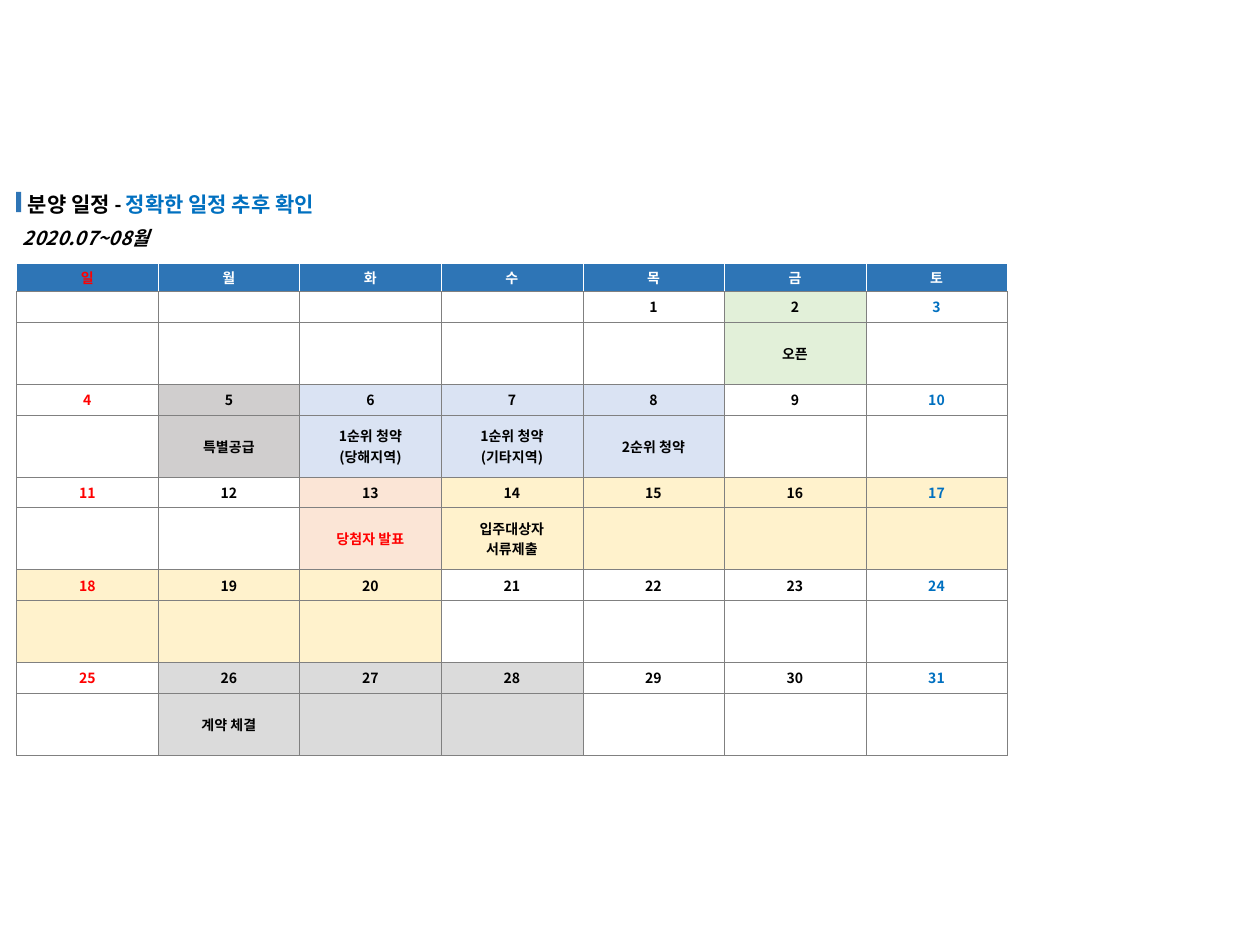
from lxml.etree import SubElement
from pptx import Presentation
from pptx.dml.color import RGBColor
from pptx.enum.shapes import MSO_SHAPE
from pptx.enum.text import MSO_ANCHOR, MSO_AUTO_SIZE, PP_ALIGN
from pptx.oxml.ns import qn
from pptx.util import Pt

COLORS = {
    "black": "000000", "white": "FFFFFF", "red": "FF0000", "blue": "0070C0",
    "header": "2E75B6", "border": "808080", "opening": "E2F0D9",
    "special": "D0CECE", "application": "DAE3F3", "winners": "FBE5D6",
    "documents": "FFF2CC", "contract": "DBDBDB",
}
FONT = "Noto Sans CJK KR"
TITLE = [("분양 일정 - ", "black"), ("정확한 일정 추후 확인", "blue")]
PERIOD = "2020.07~08월"
WEEKDAYS = ["일", "월", "화", "수", "목", "금", "토"]
EVENTS = [
    (2, 2, "opening", ["오픈"], "black"),
    (5, 5, "special", ["특별공급"], "black"),
    (6, 6, "application", ["1순위 청약", "(당해지역)"], "black"),
    (7, 7, "application", ["1순위 청약", "(기타지역)"], "black"),
    (8, 8, "application", ["2순위 청약"], "black"),
    (13, 13, "winners", ["당첨자 발표"], "red"),
    (14, 20, "documents", ["입주대상자", "서류제출"], "black"),
    (26, 28, "contract", ["계약 체결"], "black"),
]
WEEKS, FIRST_COLUMN, LAST_DAY = 5, 4, 31
LEFT, TOP, COLUMN_WIDTH = 9.5, 120, 80.9
ROW_HEIGHTS = [30.5, 16] + [17.7, 35.3] * WEEKS


def rgb(name):
    return RGBColor.from_string(COLORS[name])


def apply_format(target, values):
    for name, value in values.items():
        setattr(target, name, value)


def add_text(paragraph, text, color, size, font=FONT, italic=False):
    run = paragraph.add_run()
    run.text = text
    apply_format(run.font, {"name": font, "size": Pt(size), "bold": True, "italic": italic})
    run.font.color.rgb = rgb(color)
    SubElement(run.font._element, qn("a:ea"), typeface=FONT)


def set_borders(cell, left, right, top, bottom):
    properties = cell._tc.get_or_add_tcPr()
    for side, color in zip("LRTB", (left, right, top, bottom)):
        line = SubElement(properties, qn(f"a:ln{side}"), w=str(Pt(0.25)))
        fill = SubElement(line, qn("a:solidFill"))
        SubElement(fill, qn("a:srgbClr"), val=COLORS[color])


def fill_cell(cell, lines, color, fill, borders, size=8, italic=False,
              alignment=PP_ALIGN.CENTER, margin_left=0):
    apply_format(cell, {
        "margin_left": Pt(margin_left), "margin_right": 0, "margin_top": 0,
        "margin_bottom": 0, "vertical_anchor": MSO_ANCHOR.MIDDLE,
    })
    set_borders(cell, *borders)
    cell.fill.solid()
    cell.fill.fore_color.rgb = rgb(fill)
    frame = cell.text_frame
    for index, text in enumerate(lines):
        paragraph = frame.add_paragraph() if index else frame.paragraphs[0]
        paragraph.alignment = alignment
        add_text(paragraph, text, color, size, italic=italic)
    if not lines:
        frame.paragraphs[0]._p.get_or_add_endParaRPr().set("sz", str(size * 100))


def add_calendar(slide):
    columns = len(WEEKDAYS)
    frame = slide.shapes.add_table(
        len(ROW_HEIGHTS), columns, Pt(LEFT), Pt(TOP),
        Pt(COLUMN_WIDTH * columns), Pt(sum(ROW_HEIGHTS)))
    table = frame.table
    apply_format(table, {"first_row": False, "horz_banding": False})
    for column in table.columns:
        column.width = Pt(COLUMN_WIDTH)
    for row, height in zip(table.rows, ROW_HEIGHTS):
        row.height = Pt(height)

    table.cell(0, 0).merge(table.cell(0, columns - 1))
    fill_cell(table.cell(0, 0), [PERIOD], "black", "white", ["white"] * 4,
              size=11, italic=True, alignment=PP_ALIGN.LEFT, margin_left=3.6)
    for column, weekday in enumerate(WEEKDAYS):
        fill_cell(table.cell(1, column), [weekday], "white" if column else "red",
                  "header", ["white"] * 3 + ["border"])

    weekend = {0: "red", columns - 1: "blue"}
    fills = {day: fill for first, last, fill, _, _ in EVENTS for day in range(first, last + 1)}
    labels = {first: (lines, color) for first, _, _, lines, color in EVENTS}
    for index in range(WEEKS * columns):
        week, column = divmod(index, columns)
        day = index - FIRST_COLUMN + 1
        number = [str(day)] if 1 <= day <= LAST_DAY else []
        lines, color = labels.get(day, ([], "black"))
        fill = fills.get(day, "white")
        row = 2 + 2 * week
        fill_cell(table.cell(row, column), number, weekend.get(column, "black"),
                  fill, ["border"] * 4)
        fill_cell(table.cell(row + 1, column), lines, color, fill, ["border"] * 4)


def add_title(slide):
    title = slide.shapes.title
    slide.shapes._spTree.append(title._element)
    apply_format(title, {"left": Pt(8.8), "top": Pt(106), "width": Pt(192), "height": Pt(21.6)})
    apply_format(title.text_frame, {
        "word_wrap": False, "auto_size": MSO_AUTO_SIZE.NONE,
        "vertical_anchor": MSO_ANCHOR.TOP,
        "margin_left": Pt(7.2), "margin_right": Pt(7.2),
        "margin_top": Pt(3.6), "margin_bottom": Pt(3.6),
    })
    paragraph = title.text_frame.paragraphs[0]
    apply_format(paragraph, {"alignment": PP_ALIGN.LEFT, "space_before": Pt(0)})
    for text, color in TITLE:
        add_text(paragraph, text, color, 12, font="Calibri")

    marker = slide.shapes.add_shape(MSO_SHAPE.RECTANGLE, Pt(9.2), Pt(109.7), Pt(2.9), Pt(11.6))
    marker.shadow.inherit = False
    marker.fill.solid()
    marker.fill.fore_color.rgb = rgb("header")
    marker.line.fill.background()


def main():
    presentation = Presentation()
    apply_format(presentation, {"slide_width": Pt(720), "slide_height": Pt(540)})
    slide = presentation.slides.add_slide(presentation.slide_layouts[5])
    add_calendar(slide)
    add_title(slide)
    presentation.save("out.pptx")


if __name__ == "__main__":
    main()
